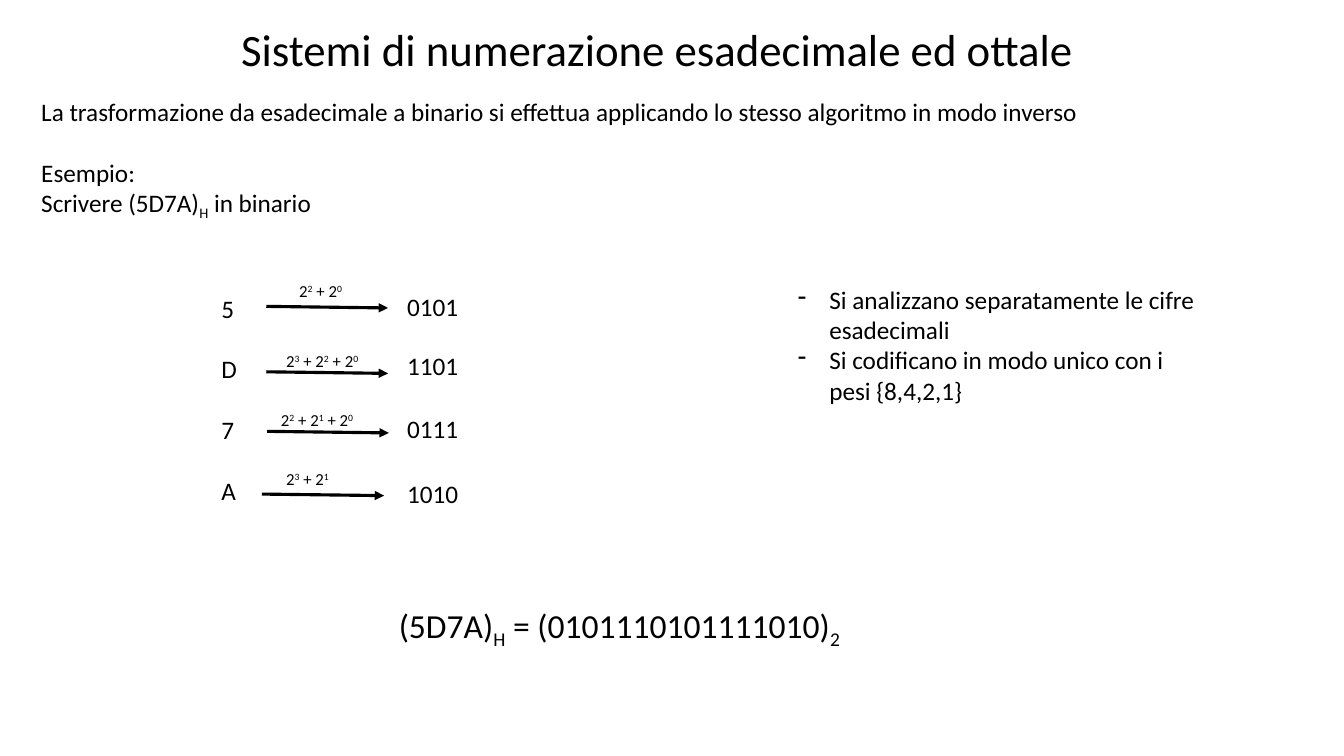
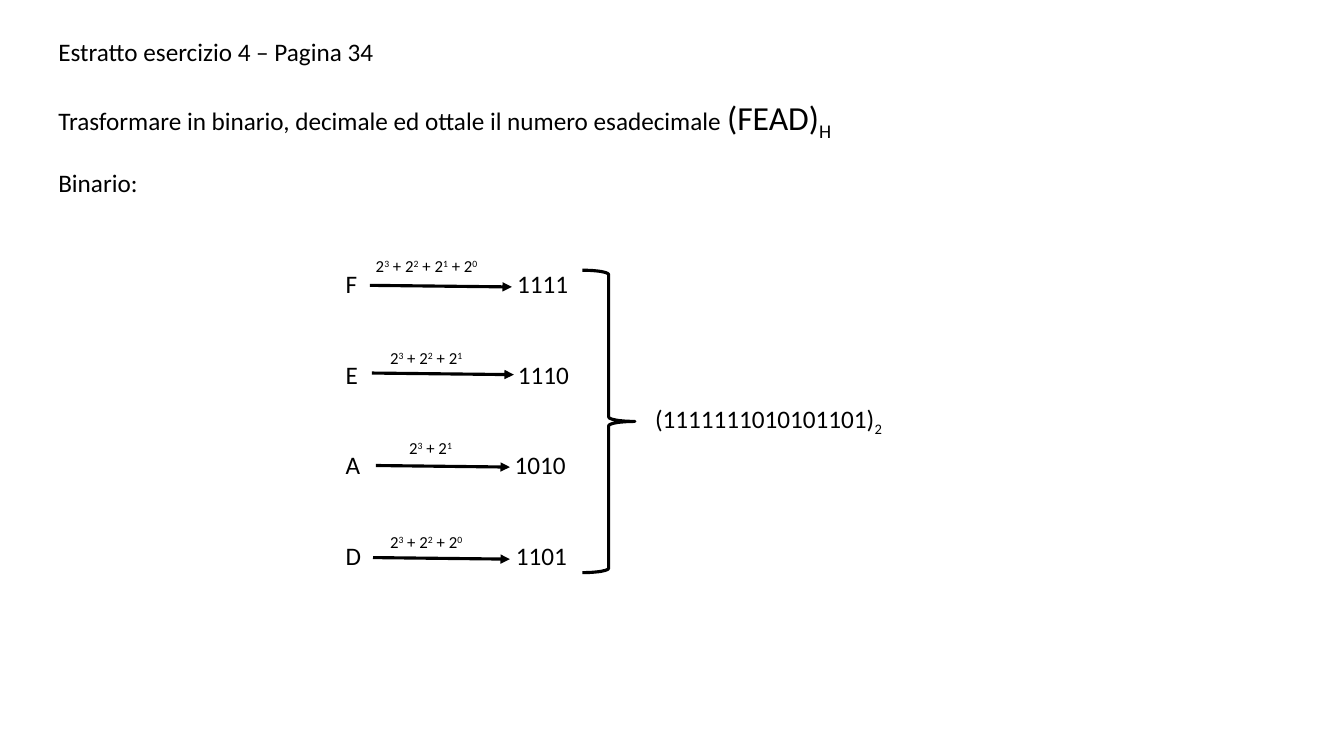
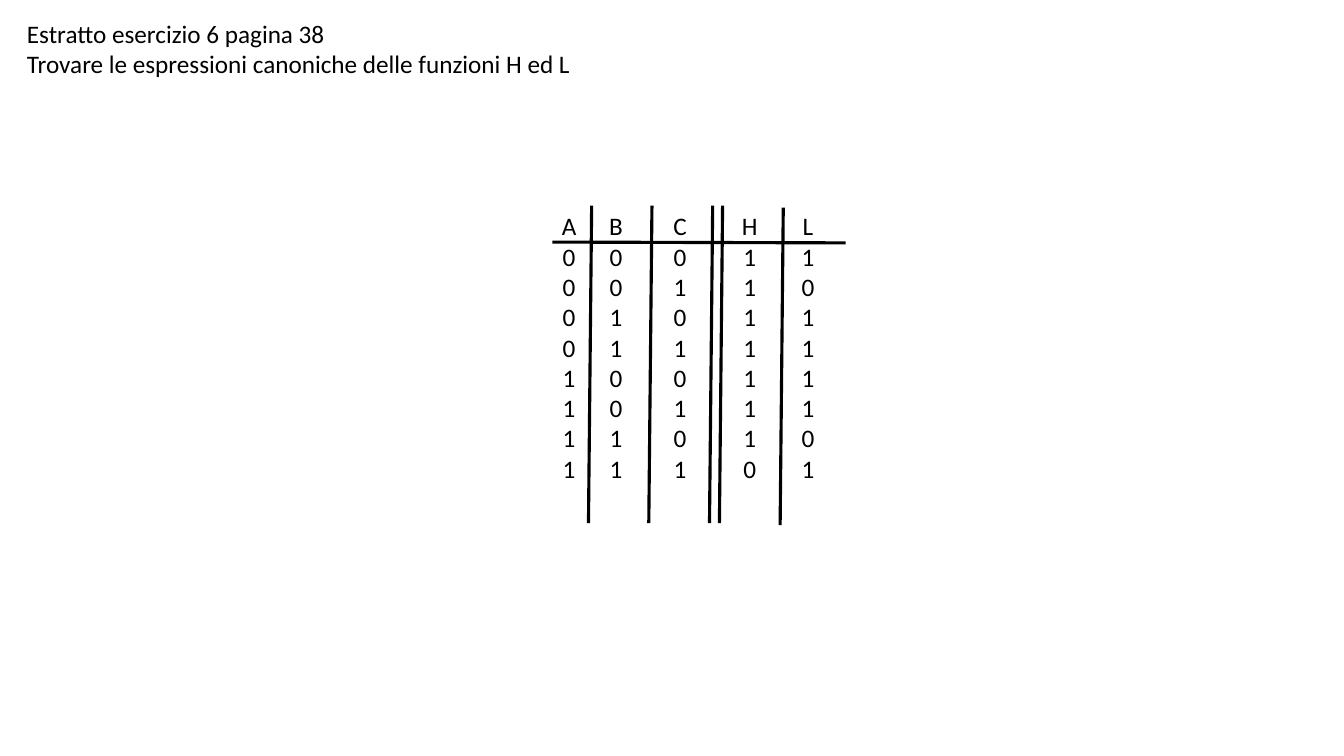
"""Build three slides on number systems and truth tables."""
from dataclasses import dataclass
from typing import NamedTuple, Sequence

from lxml import etree
from pptx import Presentation
from pptx.dml.color import RGBColor
from pptx.enum import shapes, text
from pptx.oxml.ns import qn
from pptx.util import Cm, Pt

FONT = "Calibri"
BLACK = "000000"
BODY_SIZE = 18
LARGE_SIZE = 24
LABEL_SIZE = 12
TITLE_SIZE = 32
BLANK_LINE = 21.6
LINE_WIDTH = 2.25
ARROW_DROP = 0.04
TITLE_ONLY, BLANK = 5, 6
SUPERSCRIPT, SUBSCRIPT = 30, -25


class Run(NamedTuple):
    """A stretch of text with an optional size and baseline shift."""

    text: str
    size: float | None = None
    baseline: int = 0


class Paragraph(NamedTuple):
    """Runs of one line, with the space before it and a bullet."""

    runs: Sequence[Run]
    space_before: float = 0
    bullet: str = ""


@dataclass(frozen=True)
class Conversion:
    """A hexadecimal digit, its weights and its bits, with places in cm."""

    digit: str
    exponents: Sequence[int]
    bits: str
    arrow_left: float
    arrow_right: float
    arrow_top: float
    label_left: float
    label_top: float
    bits_left: float
    bits_top: float


DIGITS_5D7A = [
    Conversion("5", (2, 0), "0101", 6.71, 9.78, 7.72, 7.29, 6.96, 10.01, 7.21),
    Conversion("D", (3, 2, 0), "1101", 6.71, 9.78, 9.37, 6.96, 8.71, 10.01, 8.71),
    Conversion("7", (2, 1, 0), "0111", 6.73, 9.8, 10.87, 6.83, 10.21, 10.01, 10.29),
    Conversion("A", (3, 1), "1010", 6.6, 9.68, 12.45, 6.96, 11.68, 10.01, 11.94),
]
DIGITS_FEAD = [
    Conversion("F", (3, 2, 1, 0), "1111", 9.32, 12.9, 7.19, 9.22, 6.32, 12.78, 6.63),
    Conversion("E", (3, 2, 1), "1110", 9.37, 12.95, 9.4, 9.58, 8.64, 12.8, 8.92),
    Conversion("A", (3, 1), "1010", 9.47, 12.85, 11.73, 10.06, 10.9, 12.72, 11.21),
    Conversion("D", (3, 2, 0), "1101", 9.4, 12.85, 14.05, 9.58, 13.28, 12.75, 13.5),
]
TRUTH_TABLE = ["ABCHL", "00011", "00110", "01011", "01111",
               "10011", "10111", "11010", "11101"]
COLUMN_WIDTHS = [1.06, 1.31, 1.92, 1.59, 1.34]
ROW_HEIGHT = 0.76
COLUMN_RULES = [(14.91, 5.18), (16.43, 5.18), (17.96, 5.18), (18.21, 5.18), (19.74, 5.23)]
RULE_LENGTH = 8
RULE_SLANT = 0.08


def colour(hex_value: str) -> RGBColor:
    """Turn a hex string into a colour."""
    return RGBColor.from_string(hex_value)


def add_runs(paragraph, runs: Sequence[Run], size: float) -> None:
    """Write formatted runs into a paragraph."""
    for part in runs:
        run = paragraph.add_run()
        run.text = part.text
        run.font.name = FONT
        run.font.size = Pt(part.size or size)
        run.font.color.rgb = colour(BLACK)
        if part.baseline:
            run.font._element.set("baseline", str(part.baseline * 1000))


def add_bullet(paragraph, character: str) -> None:
    """Give a paragraph a hanging bullet."""
    properties = paragraph._p.get_or_add_pPr()
    indent = Cm(0.79)
    properties.set("marL", str(indent))
    properties.set("indent", str(-indent))
    etree.SubElement(properties, qn("a:buChar")).set("char", character)


def write_text(frame, content: str | Sequence[Paragraph], *, size: float = BODY_SIZE,
               align=text.PP_ALIGN.LEFT, anchor=text.MSO_ANCHOR.TOP) -> None:
    """Fill a text frame with a string or a list of paragraphs."""
    paragraphs = [Paragraph([Run(content)])] if isinstance(content, str) else content
    frame.word_wrap = True
    frame.vertical_anchor = anchor
    for index, item in enumerate(paragraphs):
        paragraph = frame.paragraphs[0] if index == 0 else frame.add_paragraph()
        paragraph.alignment = align
        paragraph.space_before = Pt(item.space_before)
        if item.bullet:
            add_bullet(paragraph, item.bullet)
        add_runs(paragraph, item.runs, size)


def add_text(slide, content: str | Sequence[Paragraph], left: float, top: float,
             width: float, height: float = 1.02, **style) -> None:
    """Add a text box, placed in cm."""
    box = slide.shapes.add_textbox(Cm(left), Cm(top), Cm(width), Cm(height))
    write_text(box.text_frame, content, **style)


def add_title(slide, title: str) -> None:
    """Place and format the title placeholder."""
    shape = slide.shapes.title
    shape.left, shape.top, shape.width, shape.height = Cm(5.82), Cm(0.43), Cm(22.23), Cm(1.63)
    write_text(shape.text_frame, title, size=TITLE_SIZE)


def add_line(slide, left: float, top: float, right: float, bottom: float, *,
             arrow: bool = False) -> None:
    """Draw a straight line, with an arrowhead if asked."""
    line = slide.shapes.add_connector(
        shapes.MSO_CONNECTOR.STRAIGHT, Cm(left), Cm(top), Cm(right), Cm(bottom))
    line.line.color.rgb = colour(BLACK)
    line.line.width = Pt(LINE_WIDTH)
    if arrow:
        etree.SubElement(line.line._get_or_add_ln(), qn("a:tailEnd")).set("type", "triangle")
    etree.SubElement(line._element.spPr, qn("a:effectLst"))


def add_brace(slide, left: float, top: float, width: float, height: float) -> None:
    """Draw a closing brace."""
    brace = slide.shapes.add_shape(
        shapes.MSO_SHAPE.RIGHT_BRACE, Cm(left), Cm(top), Cm(width), Cm(height))
    brace.shadow.inherit = False
    brace.fill.background()
    brace.line.color.rgb = colour(BLACK)
    brace.line.width = Pt(LINE_WIDTH)


def power_sum(exponents: Sequence[int]) -> list[Run]:
    """Write a sum of powers of two."""
    runs = []
    for index, exponent in enumerate(exponents):
        runs.append(Run(" + 2" if index else "2"))
        runs.append(Run(str(exponent), baseline=SUPERSCRIPT))
    return runs


def add_conversions(slide, rows: Sequence[Conversion], left: float, top: float,
                    pitch: float) -> None:
    """Draw each digit with an arrow to its bits."""
    for index, row in enumerate(rows):
        add_text(slide, row.digit, left, top + index * pitch, 1.04)
        add_line(slide, row.arrow_left, row.arrow_top, row.arrow_right,
                 row.arrow_top + ARROW_DROP, arrow=True)
        add_text(slide, [Paragraph(power_sum(row.exponents))], row.label_left,
                 row.label_top, 3.8, 0.76, size=LABEL_SIZE)
        add_text(slide, row.bits, row.bits_left, row.bits_top, 2)


def add_truth_table(slide, left: float, top: float) -> None:
    """Add the truth table as an unfilled grid."""
    table = slide.shapes.add_table(
        len(TRUTH_TABLE), len(COLUMN_WIDTHS), Cm(left), Cm(top),
        Cm(sum(COLUMN_WIDTHS)), Cm(ROW_HEIGHT * len(TRUTH_TABLE))).table
    table.first_row = table.horz_banding = False
    for column, width in zip(table.columns, COLUMN_WIDTHS):
        column.width = Cm(width)
    for row, values in zip(table.rows, TRUTH_TABLE):
        row.height = Cm(ROW_HEIGHT)
        for cell, value in zip(row.cells, values):
            cell.fill.background()
            cell.margin_left = cell.margin_right = cell.margin_top = cell.margin_bottom = 0
            write_text(cell.text_frame, value, align=text.PP_ALIGN.CENTER)


def build_hexadecimal_to_binary(presentation) -> None:
    """Build the worked example for 5D7A."""
    slide = presentation.slides.add_slide(presentation.slide_layouts[TITLE_ONLY])
    add_title(slide, "Sistemi di numerazione esadecimale ed ottale")
    add_text(slide, [
        Paragraph([Run("La trasformazione da esadecimale a binario si effettua "
                       "applicando lo stesso algoritmo in modo inverso")]),
        Paragraph([Run("Esempio:")], BLANK_LINE),
        Paragraph([Run("Scrivere (5D7A)"), Run("H", baseline=SUBSCRIPT), Run(" in binario")]),
    ], 0.79, 2.31, 29.13, 3.33)
    add_conversions(slide, DIGITS_5D7A, 5.33, 7.26, 1.53)
    add_text(slide, [Paragraph([
        Run("(5D7A)"), Run("H", baseline=SUBSCRIPT),
        Run(" = (0101110101111010)"), Run("2", baseline=SUBSCRIPT),
    ])], 9.8, 15.11, 12.85, 1.27, size=LARGE_SIZE)
    add_text(slide, [
        Paragraph([Run("Si analizzano separatamente le cifre esadecimali")], bullet="-"),
        Paragraph([Run("Si codificano in modo unico con i pesi {8,4,2,1}")], bullet="-"),
    ], 19.86, 7.04, 10.62, 3.33)


def build_exercise_fead(presentation) -> None:
    """Build the binary conversion of FEAD."""
    slide = presentation.slides.add_slide(presentation.slide_layouts[BLANK])
    add_text(slide, [
        Paragraph([Run("Estratto esercizio 4 – Pagina 34")]),
        Paragraph([
            Run("Trasformare in binario, decimale ed ottale il numero esadecimale "),
            Run("(FEAD)", LARGE_SIZE), Run("H", LARGE_SIZE, SUBSCRIPT),
        ], BLANK_LINE),
    ], 1.22, 0.79, 24.41, 2.82)
    add_text(slide, "Binario:", 1.22, 4.09, 5.56)
    add_conversions(slide, DIGITS_FEAD, 8.46, 6.63, 2.29)
    add_brace(slide, 14.68, 6.81, 1.32, 7.62)
    add_text(slide, [Paragraph([Run("(1111111010101101)"), Run("2", baseline=SUBSCRIPT)])],
             16.26, 10.03, 8.61)


def build_exercise_truth_table(presentation) -> None:
    """Build the truth table of H and L."""
    slide = presentation.slides.add_slide(presentation.slide_layouts[BLANK])
    add_text(slide, [
        Paragraph([Run("Estratto esercizio 6 pagina 38")]),
        Paragraph([Run("Trovare le espressioni canoniche delle funzioni H ed L")]),
    ], 0.43, 0.33, 32.66, 1.8)
    add_truth_table(slide, 13.81, 5.34)
    for left, top in COLUMN_RULES:
        add_line(slide, left, top, left - RULE_SLANT, top + RULE_LENGTH)
    add_line(slide, 13.92, 6.1, 21.31, 6.12)


def main() -> None:
    """Build and save the presentation."""
    presentation = Presentation()
    presentation.slide_width, presentation.slide_height = Cm(33.87), Cm(19.05)
    build_hexadecimal_to_binary(presentation)
    build_exercise_fead(presentation)
    build_exercise_truth_table(presentation)
    presentation.save("out.pptx")


if __name__ == "__main__":
    main()
